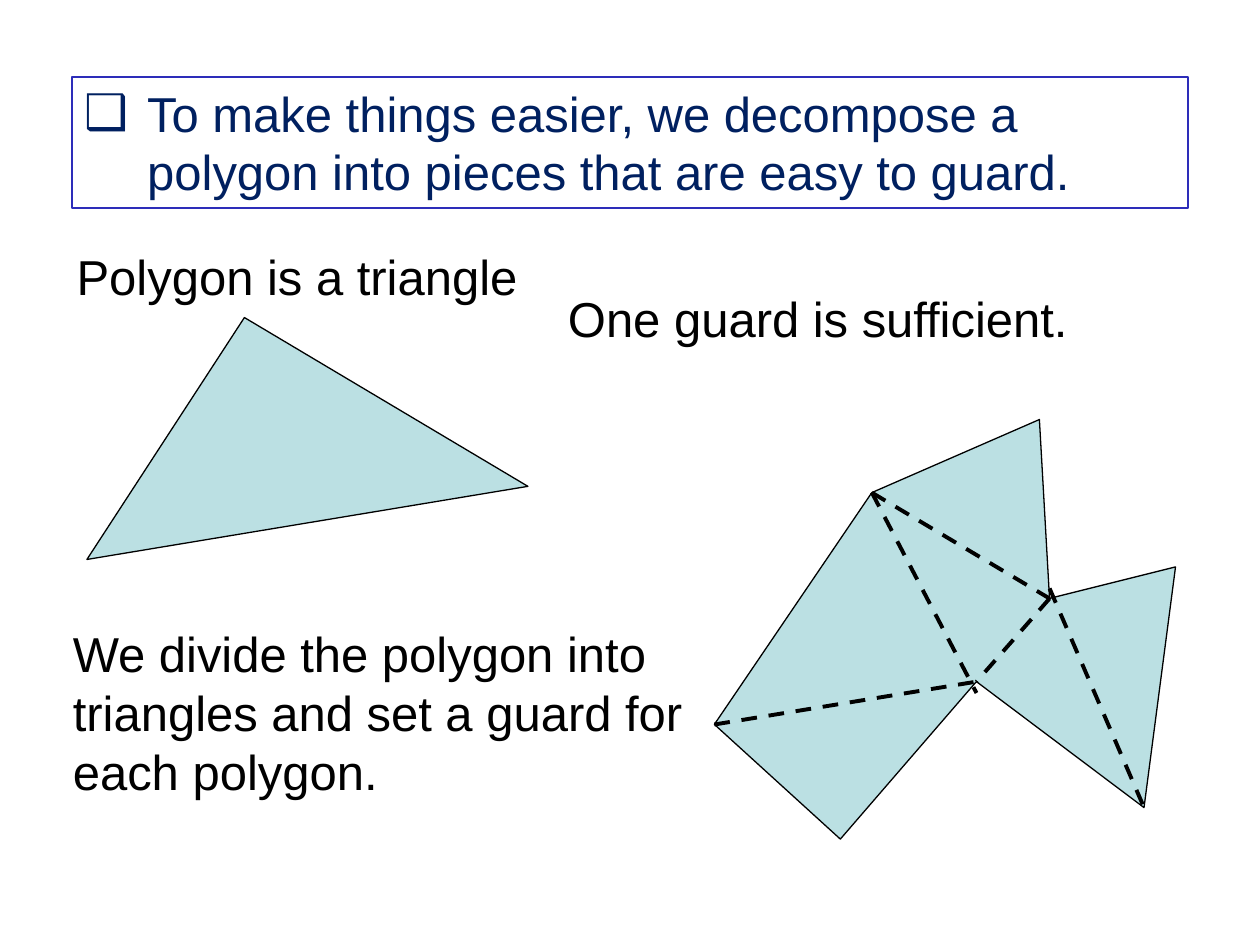
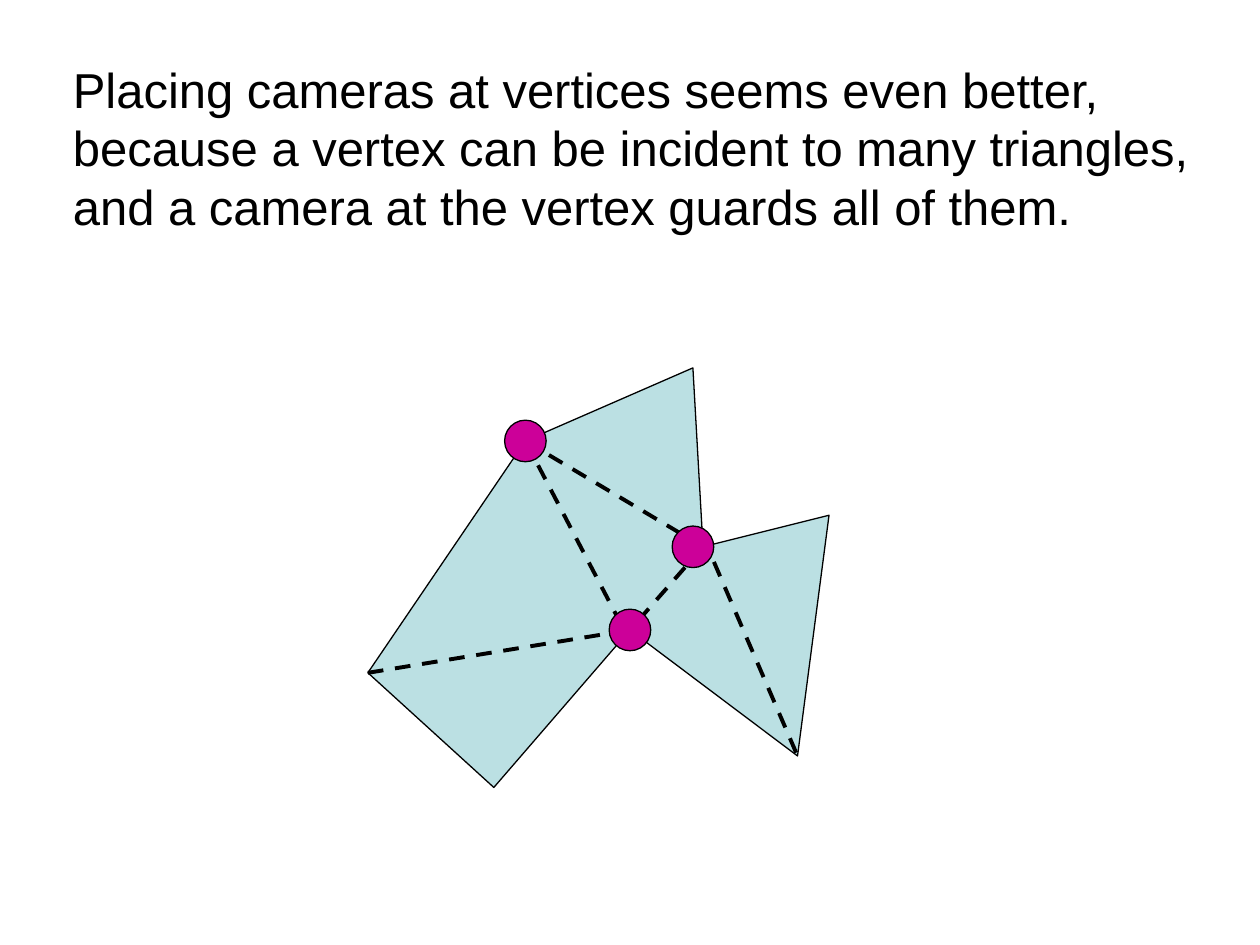
from lxml import etree
from pptx import Presentation
from pptx.dml.color import RGBColor
from pptx.enum.dml import MSO_LINE
from pptx.enum.shapes import MSO_CONNECTOR, MSO_SHAPE
from pptx.enum.text import MSO_ANCHOR, MSO_AUTO_SIZE, PP_ALIGN
from pptx.oxml.ns import qn
from pptx.util import Inches, Pt

RECTANGLE, OVAL = MSO_SHAPE.RECTANGLE, MSO_SHAPE.OVAL
STRAIGHT, DASH = MSO_CONNECTOR.STRAIGHT, MSO_LINE.DASH
TOP, LEFT, GROW = MSO_ANCHOR.TOP, PP_ALIGN.LEFT, MSO_AUTO_SIZE.SHAPE_TO_FIT_TEXT

# Shared style
COLORS = {"ink": "000000", "paper": "FFFFFF", "polygon": "BBE0E3",
          "camera": "CC0099", "claim": "002060", "frame": "2D2DB9"}
FONT, TEXT_SIZE = "Arial", 28
OUTLINE_WIDTH, DIAGONAL_WIDTH, FRAME_WIDTH = 0.75, 2.25, 1
CAMERA_SIZE, BULLET_INDENT = 0.33, 0.5

# Content: texts as (wording, (left, top, width, height), wraps)
CLAIM = "To make things easier, we decompose a polygon into pieces that are easy to guard."
CLAIM_BOX = (0.57, 0.61, 8.86, 1.04)
DECOMPOSE_TEXTS = [
    ("Polygon is a triangle", (0.51, 1.91, 3.75, 0.57), False),
    ("One guard is sufficient.", (4.41, 2.24, 4.17, 0.57), False),
    ("We divide the polygon into triangles and set a guard for each polygon.",
     (0.48, 4.9, 5.1, 1.5), True),
]
CAMERA_TEXTS = [
    ("Placing cameras at vertices seems even better, because a vertex can be "
     "incident to many triangles, and a camera at the vertex guards all of them.",
     (0.48, 0.42, 9.52, 1.5), True),
]

# Content: geometry, with polygon points measured from its top left corner
TRIANGLE = [(1.94, 2.52), (0.69, 4.44), (4.19, 3.86)]
POLYGON = [(1.25, 0.58), (0, 2.42), (1, 3.33), (2.08, 2.08),
           (3.41, 3.08), (3.66, 1.17), (2.66, 1.42), (2.58, 0)]
DIAGONALS = [((0, 2.42), (2.08, 2.08)), ((1.25, 0.58), (2.66, 1.42)),
             ((2.66, 1.34), (3.41, 3.08)), ((2.66, 1.42), (2.08, 2.08)),
             ((1.25, 0.58), (2.08, 2.17))]
CAMERAS = [(2.08, 2.08), (2.58, 1.42), (1.25, 0.58)]
DECOMPOSE_ORIGIN, CAMERA_ORIGIN = (5.67, 3.33), (2.92, 2.92)


def color(name):
    return RGBColor.from_string(COLORS[name])


def inches(values):
    return [Inches(value) for value in values]


def shift(point, origin):
    return point[0] + origin[0], point[1] + origin[1]


def paint(shape, fill, line="ink", width=OUTLINE_WIDTH):
    shape.shadow.inherit = False
    shape.fill.solid()
    shape.fill.fore_color.rgb = color(fill)
    shape.line.color.rgb = color(line)
    shape.line.width = Pt(width)


def write(shape, wording, wraps=True, ink="ink"):
    frame = shape.text_frame
    frame.word_wrap = wraps
    frame.auto_size = GROW
    frame.vertical_anchor = TOP
    paragraph = frame.paragraphs[0]
    paragraph.alignment = LEFT
    run = paragraph.add_run()
    run.text = wording
    run.font.name = FONT
    run.font.size = Pt(TEXT_SIZE)
    run.font.color.rgb = color(ink)
    return paragraph


def add_texts(slide, texts):
    for wording, box, wraps in texts:
        write(slide.shapes.add_textbox(*inches(box)), wording, wraps)


def add_outline(shapes, points):
    start, *others = [inches(point) for point in points]
    builder = shapes.build_freeform(*start)
    builder.add_line_segments(others, close=True)
    paint(builder.convert_to_shape(), "polygon")


def add_triangulation(slide, origin):
    """Draw the polygon and its dashed diagonals as one group."""
    group = slide.shapes.add_group_shape()
    add_outline(group.shapes, [shift(point, origin) for point in POLYGON])
    for start, end in DIAGONALS:
        diagonal = group.shapes.add_connector(
            STRAIGHT, *inches(shift(start, origin) + shift(end, origin)))
        diagonal.line.color.rgb = color("ink")
        diagonal.line.width = Pt(DIAGONAL_WIDTH)
        diagonal.line.dash_style = DASH
        etree.SubElement(diagonal._element.spPr, qn("a:effectLst"))


def add_claim(slide):
    """Draw the framed statement with its box bullet."""
    claim = slide.shapes.add_shape(RECTANGLE, *inches(CLAIM_BOX))
    paint(claim, "paper", "frame", FRAME_WIDTH)
    properties = write(claim, CLAIM, ink="claim")._p.get_or_add_pPr()
    properties.set("marL", str(Inches(BULLET_INDENT)))
    properties.set("indent", str(-Inches(BULLET_INDENT)))
    bullet_color = etree.SubElement(properties, qn("a:buClr"))
    etree.SubElement(bullet_color, qn("a:srgbClr"), val=COLORS["claim"])
    etree.SubElement(properties, qn("a:buFont"), typeface=FONT)
    etree.SubElement(properties, qn("a:buChar"), char="❑")


def add_cameras(slide, origin):
    for vertex in CAMERAS:
        x, y = shift(vertex, origin)
        camera = slide.shapes.add_shape(OVAL, *inches(
            (x - CAMERA_SIZE / 2, y - CAMERA_SIZE / 2, CAMERA_SIZE, CAMERA_SIZE)))
        paint(camera, "camera")


def main():
    deck = Presentation()
    deck.slide_width, deck.slide_height = Inches(10), Inches(7.5)
    blank = deck.slide_layouts[6]

    # Slide 1: decomposing a polygon into triangles
    decompose = deck.slides.add_slide(blank)
    add_texts(decompose, DECOMPOSE_TEXTS)
    add_outline(decompose.shapes, TRIANGLE)
    add_triangulation(decompose, DECOMPOSE_ORIGIN)
    add_claim(decompose)

    # Slide 2: cameras at shared vertices
    cameras = deck.slides.add_slide(blank)
    add_triangulation(cameras, CAMERA_ORIGIN)
    add_cameras(cameras, CAMERA_ORIGIN)
    add_texts(cameras, CAMERA_TEXTS)

    deck.save("out.pptx")


if __name__ == "__main__":
    main()
